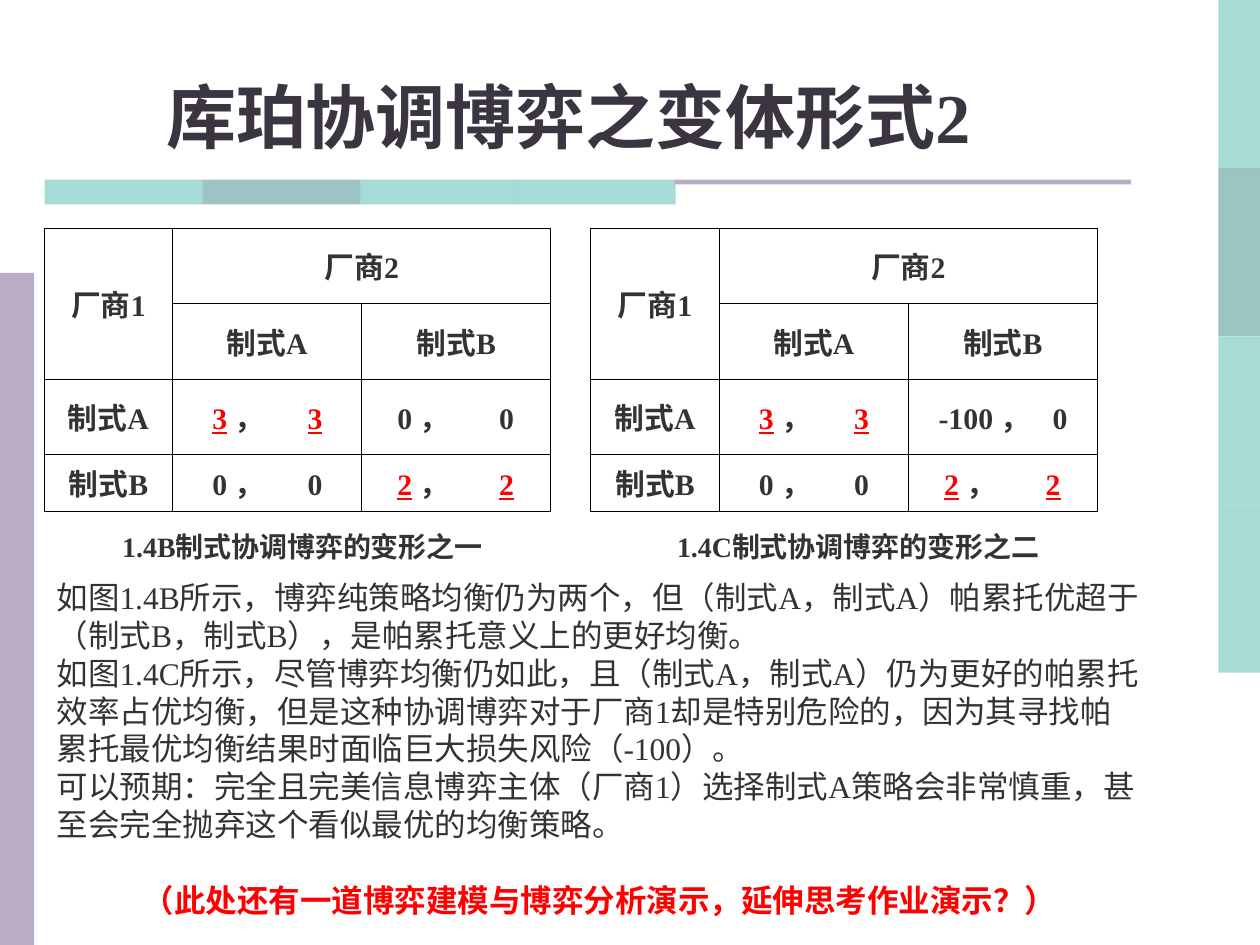
from lxml.etree import SubElement
from pptx import Presentation
from pptx.dml.color import RGBColor
from pptx.enum.shapes import MSO_SHAPE as Shape
from pptx.enum.text import MSO_ANCHOR as Anchor, PP_ALIGN as Align
from pptx.oxml import parse_xml
from pptx.oxml.ns import nsdecls, qn
from pptx.util import Cm, Pt

LATIN, CJK = "Times New Roman", "Noto Sans CJK SC"
INK, TITLE_INK, RED, BLACK = "333333", "3A3541", "FF0000", "000000"
TEAL, DARK_TEAL, PURPLE = "51B9AF", "398D85", "B8ACC6"

TITLE = "库珀协调博弈之变体形式2"
BODY = [
    "如图1.4B所示，博弈纯策略均衡仍为两个，但（制式A，制式A）帕累托优超于（制式B，制式B），是帕累托意义上的更好均衡。",
    "如图1.4C所示，尽管博弈均衡仍如此，且（制式A，制式A）仍为更好的帕累托效率占优均衡，但是这种协调博弈对于厂商1却是特别危险的，因为其寻找帕累托最优均衡结果时面临巨大损失风险（-100）。",
    "可以预期：完全且完美信息博弈主体（厂商1）选择制式A策略会非常慎重，甚至会完全抛弃这个看似最优的均衡策略。",
]
CLOSING = "（此处还有一道博弈建模与博弈分析演示，延伸思考作业演示？）"

STRATEGIES = ["制式A", "制式B"]
EQUILIBRIA = [("3", "3"), ("2", "2")]
# table left, caption left, caption, payoff rows
GAMES = [
    (0.89, 1.5, "1.4B制式协调博弈的变形之一",
     [[("3", "3"), ("0", "0")], [("0", "0"), ("2", "2")]]),
    (11.91, 12.7, "1.4C制式协调博弈的变形之二",
     [[("3", "3"), ("-100", "0")], [("0", "0"), ("2", "2")]]),
]
TABLE_TOP, COLS, ROWS = 4.6, [2.59, 3.81, 3.81], [1.52, 1.52, 1.52, 1.14]
# left margin of the first payoff and tab stop of the second
PAYOFF_STOPS = [(0.8, 1.92), (0.72, 2.05)]
WIDE_STOPS = (0.61, 2.3)

SIDE_STEP, RULE_STEP = 3.39, 3.18
STRIPE = [TEAL, DARK_TEAL, TEAL, TEAL]


def rgb(color):
    return RGBColor.from_string(color)


def style(r, size, color=INK, bold=False, latin=LATIN):
    f = r.font
    f.size, f.bold, f.name = Pt(size), bold, latin
    f.color.rgb = rgb(color)
    SubElement(r._r.get_or_add_rPr(), qn("a:ea")).set("typeface", CJK)


def add_bar(slide, x, y, w, h, color, alpha=None):
    sp = slide.shapes.add_shape(Shape.RECTANGLE, Cm(x), Cm(y), Cm(w), Cm(h))
    sp.shadow.inherit = False
    sp.line.fill.background()
    sp.fill.solid()
    sp.fill.fore_color.rgb = rgb(color)
    if alpha:
        clr = sp._element.spPr.find(qn("a:solidFill"))[0]
        SubElement(clr, qn("a:alpha")).set("val", str(alpha * 1000))


def add_text(slide, box, lines, size, align=Align.LEFT, anchor=Anchor.TOP, **look):
    tf = slide.shapes.add_textbox(*map(Cm, box)).text_frame
    tf.word_wrap = True
    tf.vertical_anchor = anchor
    tf.text = "\n".join(lines)
    for p in tf.paragraphs:
        p.alignment = align
        style(p.runs[0], size, **look)
    return tf


def frame_cell(cell):
    """Give the cell thin black borders and no fill."""
    cell.vertical_anchor = Anchor.MIDDLE
    tcPr = cell._tc.get_or_add_tcPr()
    for i, side in enumerate(("lnL", "lnR", "lnT", "lnB")):
        tcPr.insert(i, parse_xml(
            f'<a:{side} {nsdecls("a")} w="{Pt(0.45)}"><a:solidFill>'
            f'<a:srgbClr val="{BLACK}"/></a:solidFill></a:{side}>'))
    cell.fill.background()


def label_cell(cell, text):
    p = cell.text_frame.paragraphs[0]
    p.text = text
    p.alignment = Align.CENTER
    style(p.runs[0], 17, bold=True)


def payoff_cell(cell, payoff, stops):
    margin, stop = stops
    cell.margin_left, cell.margin_right = Cm(margin), 0
    p = cell.text_frame.paragraphs[0]
    p.alignment = Align.LEFT
    tabs = SubElement(p._p.get_or_add_pPr(), qn("a:tabLst"))
    tab = SubElement(tabs, qn("a:tab"))
    tab.set("pos", str(Cm(stop)))
    tab.set("algn", "l")
    best = payoff in EQUILIBRIA
    for text in (payoff[0], " ，\t", payoff[1]):
        r = p.add_run()
        r.text = text
        marked = best and text in payoff
        style(r, 17, RED if marked else INK, bold=True)
        r.font.underline = marked


def add_game(slide, left, payoffs):
    table = slide.shapes.add_table(
        len(ROWS), len(COLS), Cm(left), Cm(TABLE_TOP),
        Cm(sum(COLS)), Cm(sum(ROWS))).table
    table.first_row = table.horz_banding = False
    for col, w in zip(table.columns, COLS):
        col.width = Cm(w)
    for row, h in zip(table.rows, ROWS):
        row.height = Cm(h)
    for cell in table.iter_cells():
        frame_cell(cell)
    table.cell(0, 0).merge(table.cell(1, 0))
    table.cell(0, 1).merge(table.cell(0, 2))
    label_cell(table.cell(0, 0), "厂商1")
    label_cell(table.cell(0, 1), "厂商2")
    for i, name in enumerate(STRATEGIES):
        label_cell(table.cell(1, i + 1), name)
        label_cell(table.cell(i + 2, 0), name)
        for j, payoff in enumerate(payoffs[i]):
            stops = WIDE_STOPS if len(payoff[0]) > 1 else PAYOFF_STOPS[j]
            payoff_cell(table.cell(i + 2, j + 1), payoff, stops)


def main():
    prs = Presentation()
    prs.slide_width, prs.slide_height = Cm(25.4), Cm(19.05)
    slide = prs.slides.add_slide(prs.slide_layouts[6])

    for i, color in enumerate(STRIPE):
        add_bar(slide, 24.56, i * SIDE_STEP, 0.84, SIDE_STEP, color, alpha=50)
        add_bar(slide, 0.9 + i * RULE_STEP, 3.62, RULE_STEP, 0.5, color, alpha=50)
    add_bar(slide, 0, 5.5, 0.69, 13.55, PURPLE)
    add_bar(slide, 13.6, 3.62, 9.2, 0.1, PURPLE)

    add_text(slide, (0, 1.12, 22.91, 2.18), [TITLE], 40, Align.CENTER,
             Anchor.BOTTOM, color=TITLE_INK, bold=True)
    for left, caption_left, caption, payoffs in GAMES:
        add_game(slide, left, payoffs)
        add_text(slide, (caption_left, 10.54, 9.2, 0.94), [caption], 16,
                 Align.CENTER, Anchor.MIDDLE, bold=True)

    tf = add_text(slide, (0.89, 11.53, 22.4, 7.11), BODY, 18)
    p = tf.add_paragraph()
    p.text = CLOSING
    p.alignment = Align.CENTER
    p.space_before = Pt(22)
    style(p.runs[0], 18, RED, bold=True, latin=CJK)

    prs.save("out.pptx")


if __name__ == "__main__":
    main()
